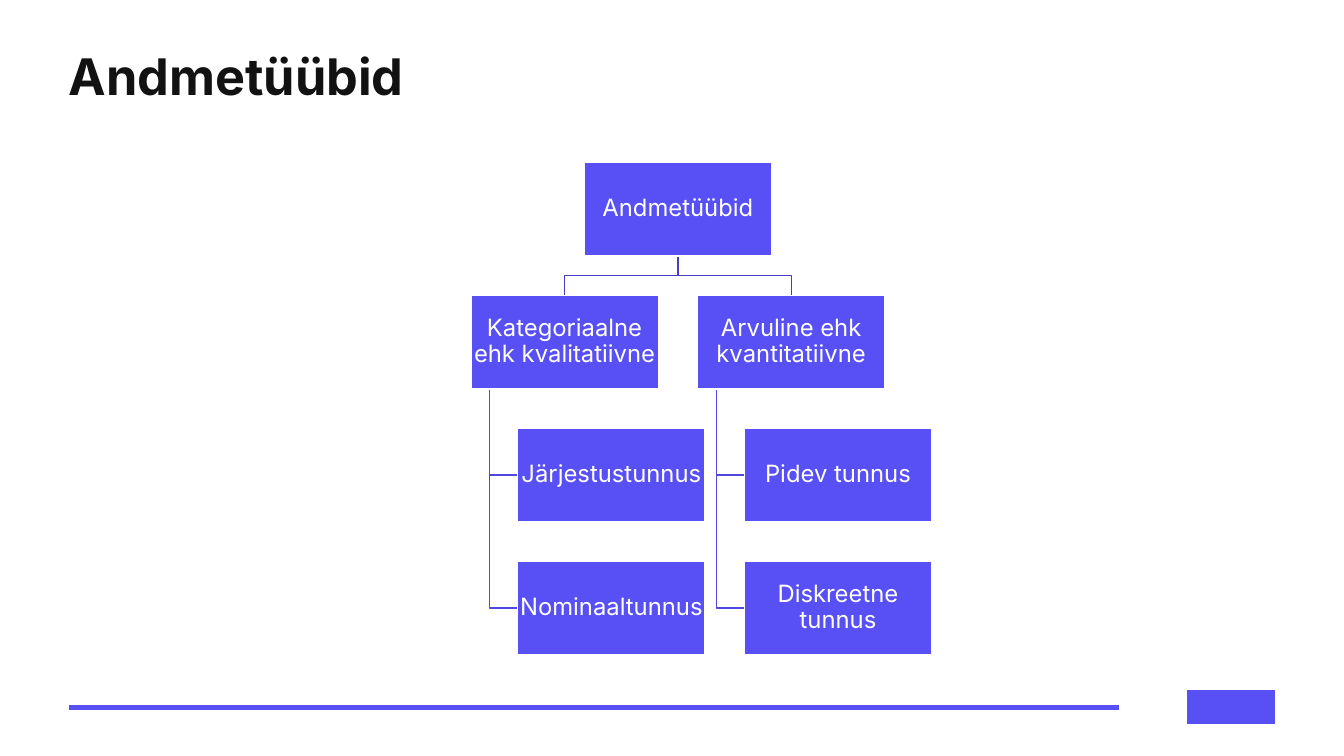
from pptx import Presentation
from pptx.dml.color import RGBColor
from pptx.enum.shapes import MSO_CONNECTOR, MSO_SHAPE
from pptx.enum.text import MSO_ANCHOR, MSO_AUTO_SIZE, PP_ALIGN as ALIGN
from pptx.oxml.ns import qn
from pptx.util import Cm, Pt
from lxml import etree

FONT = "Inter"
VIOLET, WHITE, INK = "584FF5", "FFFFFF", "121212"
BRANCH_LINE, LEAF_LINE = "463FC4", "5048DE"

# Measures of the tree, in centimetres
BOX_W, BOX_H = 4.72, 2.36
TREE_LEFT, TREE_TOP = 11.87, 4.09
COLUMN_STEP, ROW_STEP = 5.71, 3.35
LEAF_INDENT, SPINE_INDENT = 1.18, 0.47

ROOT = "Andmetüübid"
BRANCHES = [
    ("Kategoriaalne ehk kvalitatiivne", ["Järjestustunnus", "Nominaaltunnus"]),
    ("Arvuline ehk kvantitatiivne", ["Pidev tunnus", "Diskreetne tunnus"]),
]


def colour(hex_code):
    return RGBColor.from_string(hex_code)


def write_text(shape, text, size, color, bold=False, align=ALIGN.LEFT,
               anchor=MSO_ANCHOR.TOP, inset=0):
    frame = shape.text_frame
    frame.word_wrap = True
    frame.auto_size = MSO_AUTO_SIZE.NONE
    frame.vertical_anchor = anchor
    frame.margin_left = frame.margin_right = Cm(inset)
    frame.margin_top = frame.margin_bottom = Cm(inset)
    paragraph = frame.paragraphs[0]
    paragraph.alignment = align
    paragraph.line_spacing = 0.9
    run = paragraph.add_run()
    run.text = text
    run.font.name = FONT
    run.font.size = Pt(size)
    run.font.bold = bold
    run.font.color.rgb = colour(color)


def set_title(slide, text):
    title = slide.shapes.title
    title.left, title.top = Cm(1.73), Cm(1.32)
    title.width, title.height = Cm(27.89), Cm(0.99)
    write_text(title, text, size=36, color=INK, bold=True)


def add_block(slide, left, top, width, height):
    block = slide.shapes.add_shape(
        MSO_SHAPE.RECTANGLE, Cm(left), Cm(top), Cm(width), Cm(height))
    block.shadow.inherit = False
    block.fill.solid()
    block.fill.fore_color.rgb = colour(VIOLET)
    block.line.color.rgb = colour(WHITE)
    block.line.width = Pt(1)
    return block


def add_node(slide, text, left, top):
    node = add_block(slide, left, top, BOX_W, BOX_H)
    write_text(node, text, size=17, color=WHITE, align=ALIGN.CENTER,
               anchor=MSO_ANCHOR.MIDDLE, inset=0.03)


def add_bent_line(slide, points, color):
    start, *rest = [(Cm(x), Cm(y)) for x, y in points]
    builder = slide.shapes.build_freeform(*start)
    builder.add_line_segments(rest, close=False)
    bent_line = builder.convert_to_shape()
    bent_line.shadow.inherit = False
    bent_line.fill.background()
    bent_line.line.color.rgb = colour(color)
    bent_line.line.width = Pt(1)


def add_footer(slide):
    """Rule along the bottom, with a plain block in the emblem's place."""
    y = Cm(17.83)
    rule = slide.shapes.add_connector(
        MSO_CONNECTOR.STRAIGHT, Cm(1.73), y, Cm(28.19), y)
    rule.line.color.rgb = colour(VIOLET)
    rule.line.width = Pt(3)
    etree.SubElement(rule._element.spPr, qn("a:effectLst"))
    add_block(slide, 29.9, 17.37, 2.24, 0.89)


def add_leaves(slide, leaves, branch_left, branch_top):
    spine = branch_left + SPINE_INDENT
    left = branch_left + LEAF_INDENT
    for row, leaf in enumerate(leaves, start=1):
        top = branch_top + row * ROW_STEP
        middle = top + BOX_H / 2
        add_bent_line(slide, [(spine, branch_top + BOX_H), (spine, middle),
                              (left, middle)], LEAF_LINE)
        add_node(slide, leaf, left, top)


def add_tree(slide):
    root_left = TREE_LEFT + COLUMN_STEP / 2
    root_centre = root_left + BOX_W / 2
    root_bottom = TREE_TOP + BOX_H
    branch_top = TREE_TOP + ROW_STEP
    fork = (root_bottom + branch_top) / 2
    for column, (branch, leaves) in enumerate(BRANCHES):
        left = TREE_LEFT + column * COLUMN_STEP
        centre = left + BOX_W / 2
        add_bent_line(slide, [(root_centre, root_bottom), (root_centre, fork),
                              (centre, fork), (centre, branch_top)], BRANCH_LINE)
        add_leaves(slide, leaves, left, branch_top)
        add_node(slide, branch, left, branch_top)
    add_node(slide, ROOT, root_left, TREE_TOP)


def main():
    deck = Presentation()
    deck.slide_width, deck.slide_height = Cm(33.87), Cm(19.05)
    slide = deck.slides.add_slide(deck.slide_layouts[5])
    add_footer(slide)
    set_title(slide, "Andmetüübid")
    add_tree(slide)
    deck.save("out.pptx")


if __name__ == "__main__":
    main()
